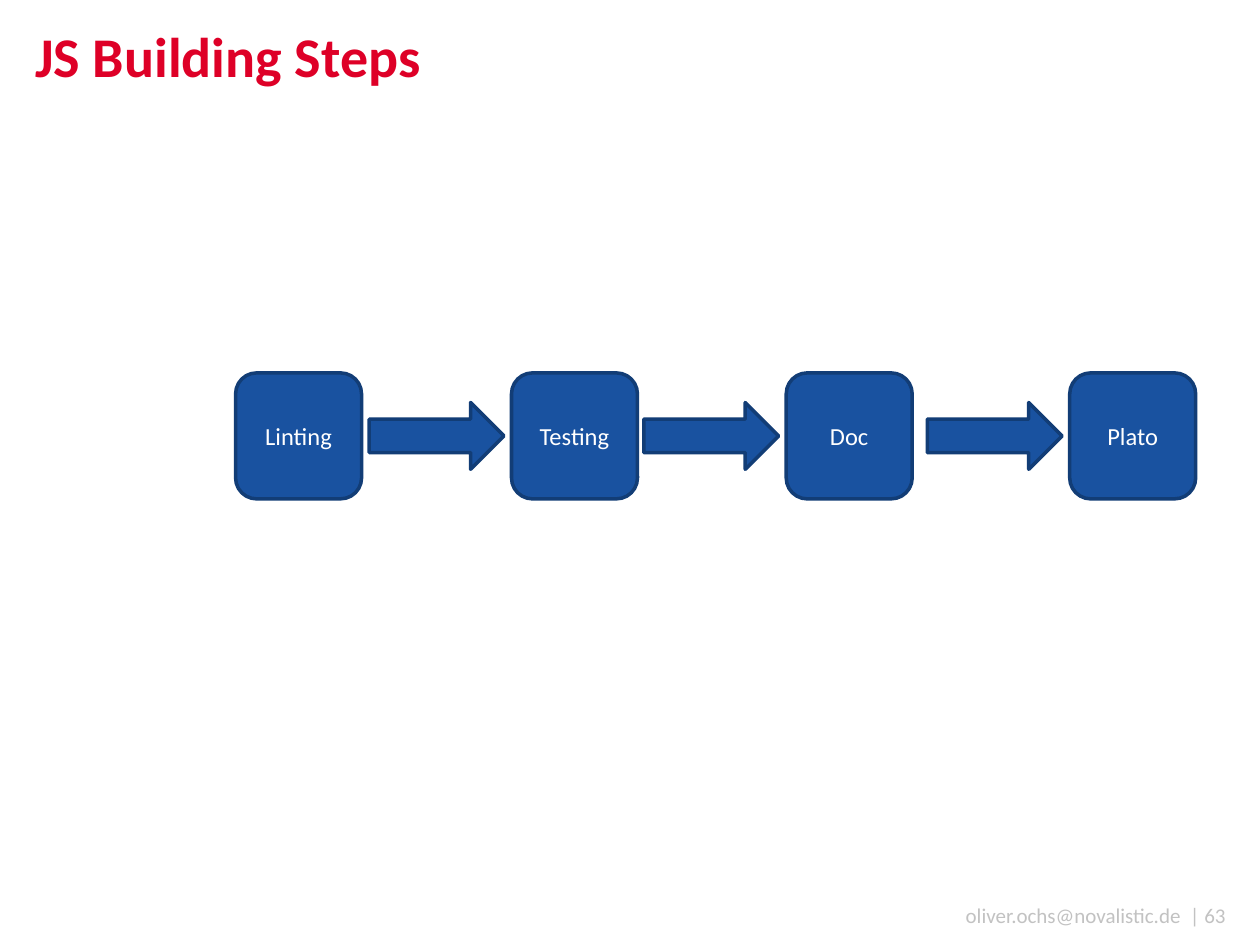
from pptx import Presentation
from pptx.dml.color import RGBColor
from pptx.enum.shapes import MSO_SHAPE
from pptx.enum.text import MSO_ANCHOR, PP_ALIGN
from pptx.util import Inches, Pt

ROUNDED = MSO_SHAPE.ROUNDED_RECTANGLE
ARROW = MSO_SHAPE.RIGHT_ARROW
TOP, MIDDLE = MSO_ANCHOR.TOP, MSO_ANCHOR.MIDDLE
LEFT, CENTER, RIGHT = PP_ALIGN.LEFT, PP_ALIGN.CENTER, PP_ALIGN.RIGHT

FONT = "Calibri"
RED, GREY, WHITE = "DE0027", "C2C2C2", "FFFFFF"
BLUE, NAVY = "1952A0", "123D76"

STEP_SIZE = 1
ARROW_WIDTH, ARROW_HEIGHT = 1.07, 0.53
ARROW_LEAD = 1.13
STEPS = [("Linting", 0), ("Testing", 2.19), ("Doc", 4.37), ("Plato", 6.62)]


def color(value):
    return RGBColor.from_string(value)


def write(shape, text, size, ink, align, anchor=TOP, bold=False, wrap=True):
    frame = shape.text_frame
    frame.margin_left = frame.margin_right = 0
    frame.margin_top = frame.margin_bottom = 0
    frame.word_wrap = wrap
    frame.vertical_anchor = anchor
    para = frame.paragraphs[0]
    para.text = text
    para.alignment = align
    para.font.name = FONT
    para.font.size = Pt(size)
    para.font.bold = bold
    para.font.color.rgb = color(ink)


def add_label(page, box, text, size, ink, align, bold=False):
    label = page.shapes.add_textbox(*map(Inches, box))
    write(label, text, size, ink, align, bold=bold)


def add_block(page, kind, box):
    block = page.shapes.add_shape(kind, *map(Inches, box))
    block.shadow.inherit = False
    block.fill.solid()
    block.fill.fore_color.rgb = color(BLUE)
    block.line.color.rgb = color(NAVY)
    block.line.width = Pt(2)
    return block


def add_flow(page, left, top):
    arrow_top = top + (STEP_SIZE - ARROW_HEIGHT) / 2
    for index, (name, offset) in enumerate(STEPS):
        step_left = left + offset
        if index:
            add_block(page, ARROW, (step_left - ARROW_LEAD, arrow_top,
                                    ARROW_WIDTH, ARROW_HEIGHT))
        step = add_block(page, ROUNDED, (step_left, top, STEP_SIZE, STEP_SIZE))
        write(step, name, 14, WHITE, CENTER, MIDDLE, wrap=False)


def main():
    deck = Presentation()
    deck.slide_width, deck.slide_height = Inches(10), Inches(7.5)
    page = deck.slides.add_slide(deck.slide_layouts[6])
    add_label(page, (3.81, 7.16, 5.92, 0.24),
              "oliver.ochs@novalistic.de  | 63", 12, GREY, RIGHT)
    add_label(page, (0.28, 0.17, 9.29, 1.08),
              "JS Building Steps", 32, RED, LEFT, bold=True)
    add_flow(page, 1.87, 2.96)
    deck.save("out.pptx")


if __name__ == "__main__":
    main()
